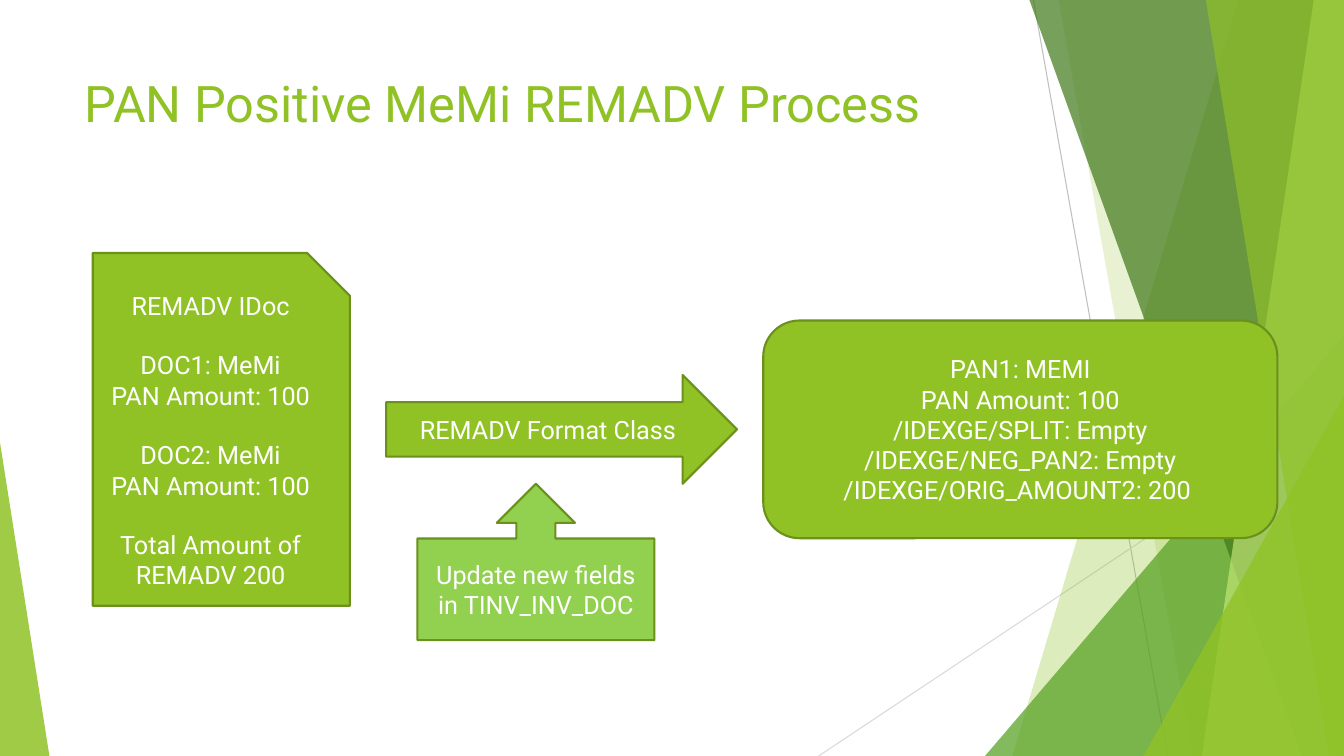
from dataclasses import dataclass

from lxml.etree import SubElement
from pptx import Presentation
from pptx.dml.color import RGBColor
from pptx.enum.shapes import MSO_CONNECTOR, MSO_SHAPE
from pptx.enum.text import MSO_ANCHOR, MSO_AUTO_SIZE, PP_ALIGN
from pptx.oxml.ns import qn
from pptx.util import Pt

PX = 9144  # EMU in one px, 100 px to the inch
WIDE, HIGH = 1333, 750


@dataclass(frozen=True)
class Theme:
    font: str = "Roboto"
    lime: str = "90C226"
    pale: str = "C0E474"
    leaf: str = "54A021"
    dark: str = "3F7819"
    fresh: str = "92D050"
    edge: str = "6B901C"
    white: str = "FFFFFF"
    gray: str = "BFBFBF"
    light: str = "D9D9D9"
    head: int = 36
    body: int = 18
    gap: int = 21
    rule: float = 1.5
    thin: float = 0.75


def put(item, **form):
    for name, value in form.items():
        setattr(item, name, value)


def scale(*sizes):
    return [size * PX for size in sizes]


class Deck:
    def __init__(self, theme):
        self.theme = theme
        self.show = Presentation()
        put(self.show, slide_width=WIDE * PX, slide_height=HIGH * PX)
        self.slide = self.show.slides.add_slide(self.show.slide_layouts[5])
        self.shapes = self.slide.shapes

    def style(self, para, size, color, align):
        put(para, alignment=align)
        put(para.font, name=self.theme.font, size=Pt(size))
        put(para.font.color, rgb=RGBColor.from_string(color))

    def paint(self, shape, color, alpha=100):
        shape.shadow.inherit = False
        shape.fill.solid()
        put(shape.fill.fore_color, rgb=RGBColor.from_string(color))
        if alpha < 100:
            tone = shape.element.spPr.find(".//" + qn("a:srgbClr"))
            SubElement(tone, qn("a:alpha")).set("val", str(alpha * 1000))
            shape.line.fill.background()

    def title(self, text, left, top, width, height):
        head = self.shapes.title
        left, top, width, height = scale(left, top, width, height)
        put(head, left=left, top=top, width=width, height=height)
        frame = head.text_frame
        put(frame, text=text, word_wrap=True, auto_size=MSO_AUTO_SIZE.NONE,
            vertical_anchor=MSO_ANCHOR.TOP)
        self.style(frame.paragraphs[0], self.theme.head, self.theme.lime, PP_ALIGN.LEFT)

    def line(self, start, end, color):
        line = self.shapes.add_connector(MSO_CONNECTOR.STRAIGHT, *scale(*start, *end))
        put(line.line, width=Pt(self.theme.thin))
        put(line.line.color, rgb=RGBColor.from_string(color))
        SubElement(line.element.spPr, qn("a:effectLst"))

    def band(self, top, foot, color, alpha):
        """Fill from a slanted left edge to the right side of the slide."""
        pen = self.shapes.build_freeform(top, 0, scale=PX)
        pen.add_line_segments([(WIDE, 0), (WIDE, HIGH), (foot, HIGH)], close=True)
        self.paint(pen.convert_to_shape(), color, alpha)

    def wedge(self, left, top, width, tip, color, alpha):
        """Triangle standing on the foot of the slide."""
        shape = self.shapes.add_shape(MSO_SHAPE.ISOSCELES_TRIANGLE,
                                      *scale(left, top, width, HIGH - top))
        shape.adjustments[0] = tip
        self.paint(shape, color, alpha)

    def box(self, kind, place, color, groups):
        """Shape with groups of lines, one line of space between groups."""
        shape = self.shapes.add_shape(kind, *scale(*place))
        self.paint(shape, color)
        put(shape.line, width=Pt(self.theme.rule))
        put(shape.line.color, rgb=RGBColor.from_string(self.theme.edge))
        frame = shape.text_frame
        put(frame, word_wrap=True, vertical_anchor=MSO_ANCHOR.MIDDLE)
        para = frame.paragraphs[0]
        for g, group in enumerate(groups):
            for n, text in enumerate(group):
                if g or n:
                    para = frame.add_paragraph()
                para.text = text
                self.style(para, self.theme.body, self.theme.white, PP_ALIGN.CENTER)
                if g and not n:
                    para.space_before = Pt(self.theme.gap)


def main():
    look = Theme()
    deck = Deck(look)

    # Background facets, from back to front
    deck.line((1025, 0), (1158, HIGH), look.gray)
    deck.line((WIDE, 403), (812, HIGH), look.light)
    deck.band(1228, 1004, look.lime, 30)
    deck.band(1050, 1183, look.lime, 20)
    deck.wedge(977, 333, 356, 1, look.leaf, 72)
    deck.band(1021, 1291, look.dark, 70)
    deck.band(1303, 1192, look.pale, 70)
    deck.band(1196, 1318, look.lime, 65)
    deck.wedge(1134, 393, 199, 1, look.lime, 80)
    deck.wedge(0, 439, 49, 0, look.lime, 85)

    # Title
    deck.title("PAN Positive MeMi REMADV Process", 74, 67, 940, 144)

    # Process: document, format class, result, update note
    amount = "PAN Amount: 100"
    deck.box(MSO_SHAPE.SNIP_1_RECTANGLE, (92, 251, 255, 350), look.lime, [
        ["REMADV IDoc"],
        ["DOC1: MeMi", amount],
        ["DOC2: MeMi", amount],
        ["Total Amount of REMADV 200"],
    ])
    deck.box(MSO_SHAPE.RIGHT_ARROW, (383, 372, 348, 108), look.lime,
             [["REMADV Format Class"]])
    deck.box(MSO_SHAPE.ROUNDED_RECTANGLE, (757, 318, 510, 216), look.lime, [[
        "PAN1: MEMI",
        amount,
        "/IDEXGE/SPLIT: Empty",
        "/IDEXGE/NEG_PAN2: Empty",
        "/IDEXGE/ORIG_AMOUNT2: 200 ",
    ]])
    deck.box(MSO_SHAPE.UP_ARROW_CALLOUT, (414, 480, 235, 155), look.fresh,
             [["Update new fields in TINV_INV_DOC"]])

    deck.show.save("out.pptx")


if __name__ == "__main__":
    main()
